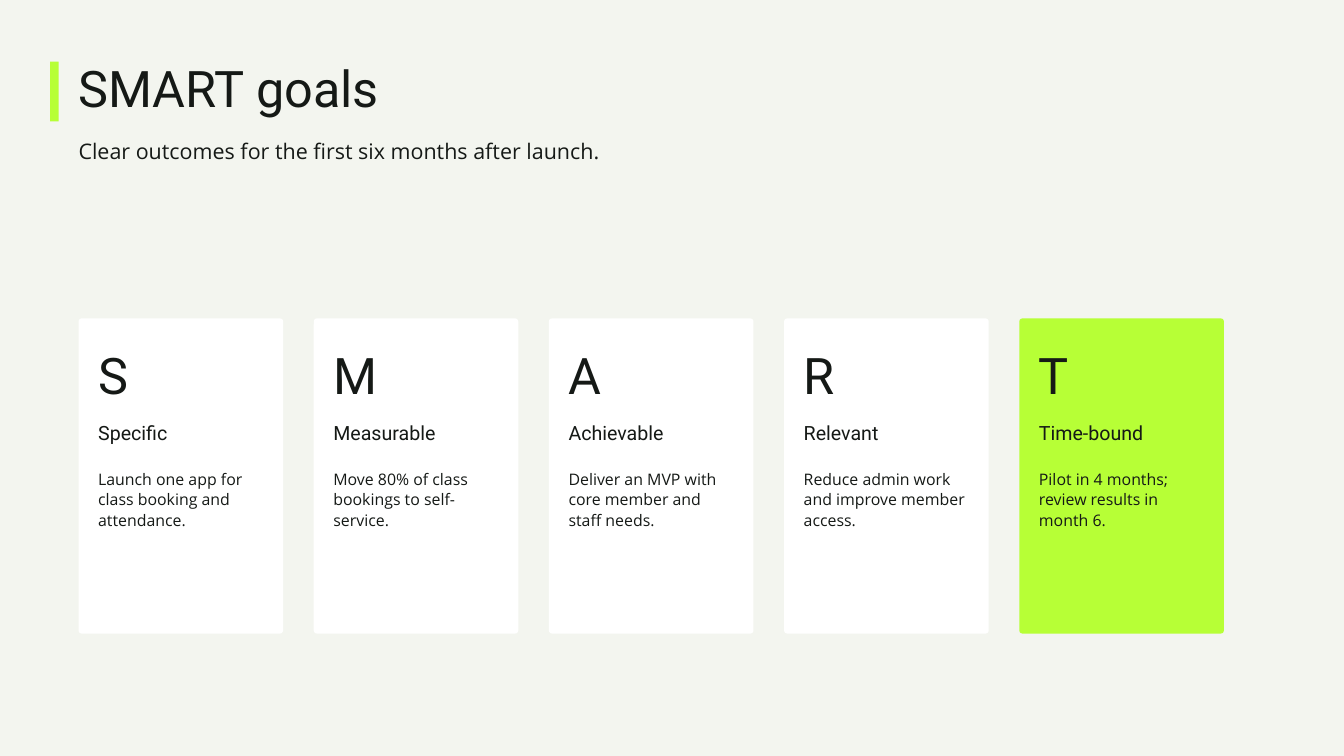
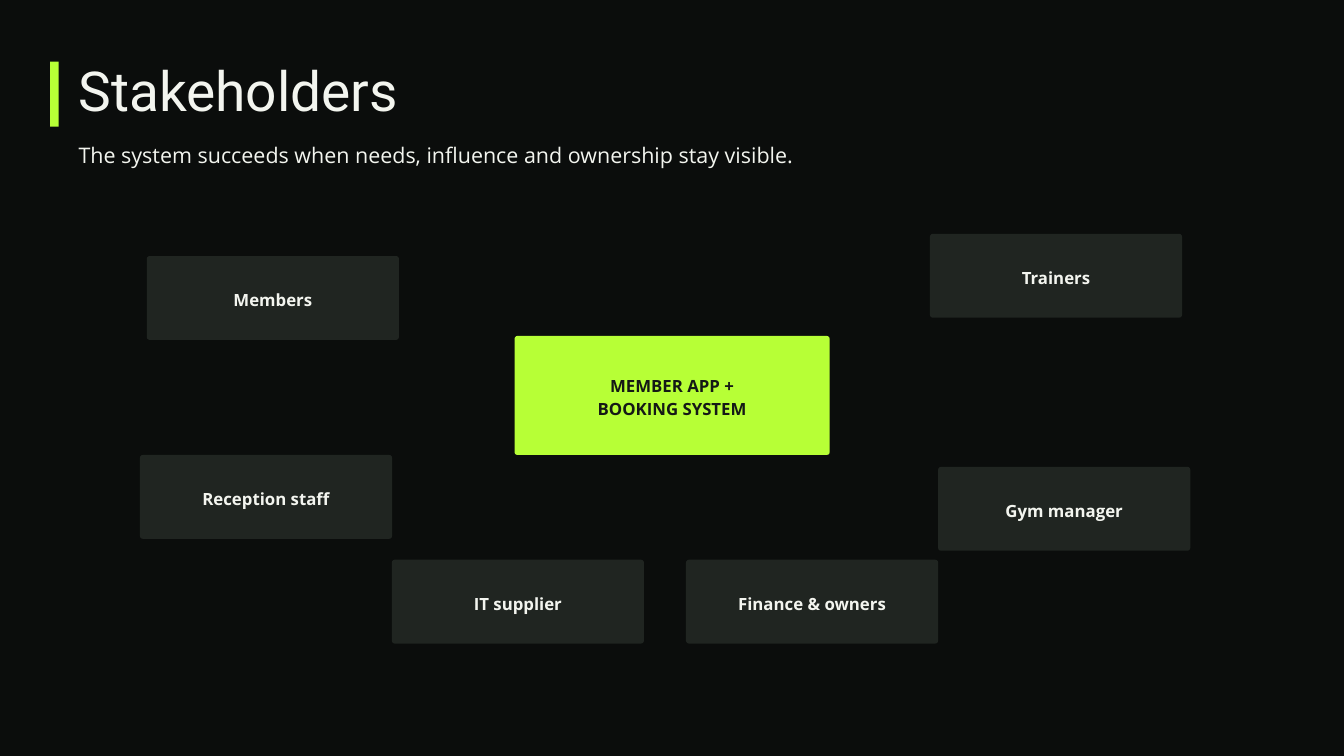
from dataclasses import dataclass
from typing import Sequence

from pptx import Presentation
from pptx.dml.color import RGBColor
from pptx.enum.shapes import MSO_SHAPE as Preset
from pptx.enum.text import MSO_ANCHOR as Anchor, PP_ALIGN as Align
from pptx.util import Cm, Pt

COLORS = {
    "paper": "F3F5EF",
    "night": "0B0D0C",
    "ink": "151916",
    "lime": "B7FF36",
    "white": "FFFFFF",
    "slate": "202521",
}
HEADING, BODY = "Roboto", "Open Sans"
MARGIN = 2.97
CORNER = 0.11


@dataclass(frozen=True)
class Box:
    """Place and size in centimetres."""
    left: float
    top: float
    width: float
    height: float

    def lengths(self) -> tuple:
        return Cm(self.left), Cm(self.top), Cm(self.width), Cm(self.height)


@dataclass(frozen=True)
class TextStyle:
    font: str
    size: float
    leading: float
    bold: bool = False
    align: Align = Align.LEFT


@dataclass(frozen=True)
class Header:
    title: str
    subtitle: str
    style: TextStyle
    title_top: float
    title_height: float
    subtitle_top: float
    bar_height: float


@dataclass(frozen=True)
class Goal:
    letter: str
    name: str
    outcome: str
    fill: str = "white"


@dataclass(frozen=True)
class Stakeholder:
    name: str
    left: float
    top: float


SUBTITLE = TextStyle(BODY, 23, 30.4)
LETTER = TextStyle(HEADING, 54, 75.6)
GOAL_NAME = TextStyle(HEADING, 21, 29.4)
OUTCOME = TextStyle(BODY, 17, 22.2)
NODE = TextStyle(BODY, 18, 25.2, bold=True, align=Align.CENTER)


# Shared drawing
def rgb(name: str) -> RGBColor:
    return RGBColor.from_string(COLORS[name])


def write(frame, lines: Sequence[str], style: TextStyle, color: str, inset: float = 0) -> None:
    frame.word_wrap = True
    frame.margin_left = frame.margin_right = Cm(inset)
    frame.margin_top = frame.margin_bottom = Cm(inset)
    for index, line in enumerate(lines):
        paragraph = frame.add_paragraph() if index else frame.paragraphs[0]
        paragraph.alignment = style.align
        paragraph.line_spacing = Pt(style.leading)
        run = paragraph.add_run()
        run.text = line
        run.font.name = style.font
        run.font.size = Pt(style.size)
        run.font.bold = style.bold
        run.font.color.rgb = rgb(color)


def add_text(shapes, box: Box, text: str, style: TextStyle, color: str) -> None:
    write(shapes.add_textbox(*box.lengths()).text_frame, [text], style, color)


def add_panel(shapes, box: Box, fill: str, preset: Preset = Preset.ROUNDED_RECTANGLE):
    shape = shapes.add_shape(preset, *box.lengths())
    shape.shadow.inherit = False
    shape.fill.solid()
    shape.fill.fore_color.rgb = rgb(fill)
    shape.line.fill.background()
    if preset == Preset.ROUNDED_RECTANGLE:
        shape.adjustments[0] = CORNER / min(box.width, box.height)
    return shape


def add_slide(presentation, background: str, color: str, header: Header):
    slide = presentation.slides.add_slide(presentation.slide_layouts[6])
    slide.background.fill.solid()
    slide.background.fill.fore_color.rgb = rgb(background)
    add_text(slide.shapes, Box(MARGIN, header.title_top, 39.7, header.title_height),
             header.title, header.style, color)
    add_text(slide.shapes, Box(MARGIN, header.subtitle_top, 33.86, 1.07),
             header.subtitle, SUBTITLE, color)
    add_panel(slide.shapes, Box(1.9, 2.33, 0.32, header.bar_height), "lime", Preset.RECTANGLE)
    return slide


# Slide 1: five goal cards in a row
GOALS = [
    Goal("S", "Specific", "Launch one app for class booking and attendance."),
    Goal("M", "Measurable", "Move 80% of class bookings to self-service."),
    Goal("A", "Achievable", "Deliver an MVP with core member and staff needs."),
    Goal("R", "Relevant", "Reduce admin work and improve member access."),
    Goal("T", "Time-bound", "Pilot in 4 months; review results in month 6.", "lime"),
]
CARD_PITCH, CARD_PADDING = 8.89, 0.74


def add_goal_card(slide, goal: Goal, left: float) -> None:
    card = Box(left, 12.04, 7.73, 11.91)
    shapes = slide.shapes.add_group_shape().shapes
    add_panel(shapes, card, goal.fill)
    rows = [
        (goal.letter, LETTER, 12.62, 2.67),
        (goal.name, GOAL_NAME, 15.77, 1.04),
        (goal.outcome, OUTCOME, 17.68, 2.36),
    ]
    for text, style, top, height in rows:
        box = Box(left + CARD_PADDING, top, card.width - 2 * CARD_PADDING, height)
        add_text(shapes, box, text, style, "ink")


def build_goals(presentation) -> None:
    header = Header("SMART goals", "Clear outcomes for the first six months after launch.",
                    TextStyle(HEADING, 54, 55.1), 2.51, 1.96, 5.11, 2.26)
    slide = add_slide(presentation, "paper", "ink", header)
    for column, goal in enumerate(GOALS):
        add_goal_card(slide, goal, MARGIN + column * CARD_PITCH)


# Slide 2: stakeholders around the system
STAKEHOLDERS = [
    Stakeholder("Members", 5.55, 9.68),
    Stakeholder("Reception staff", 5.29, 17.2),
    Stakeholder("Trainers", 35.15, 8.84),
    Stakeholder("Gym manager", 35.46, 17.65),
    Stakeholder("IT supplier", 14.81, 21.16),
    Stakeholder("Finance & owners", 25.93, 21.16),
]


def add_node(slide, box: Box, lines: Sequence[str], fill: str, color: str) -> None:
    frame = add_panel(slide.shapes, box, fill).text_frame
    frame.vertical_anchor = Anchor.MIDDLE
    write(frame, lines, NODE, color, inset=0.15)


def build_stakeholders(presentation) -> None:
    header = Header("Stakeholders",
                    "The system succeeds when needs, influence and ownership stay visible.",
                    TextStyle(HEADING, 59, 59.6), 2.54, 2.11, 5.28, 2.46)
    slide = add_slide(presentation, "night", "paper", header)
    add_node(slide, Box(19.45, 12.7, 11.91, 4.5),
             ["MEMBER APP +", "BOOKING SYSTEM"], "lime", "ink")
    for stakeholder in STAKEHOLDERS:
        box = Box(stakeholder.left, stakeholder.top, 9.53, 3.17)
        add_node(slide, box, [stakeholder.name], "slate", "paper")


def main() -> None:
    presentation = Presentation()
    presentation.slide_width = Cm(50.8)
    presentation.slide_height = Cm(28.58)
    build_goals(presentation)
    build_stakeholders(presentation)
    presentation.save("out.pptx")


if __name__ == "__main__":
    main()
